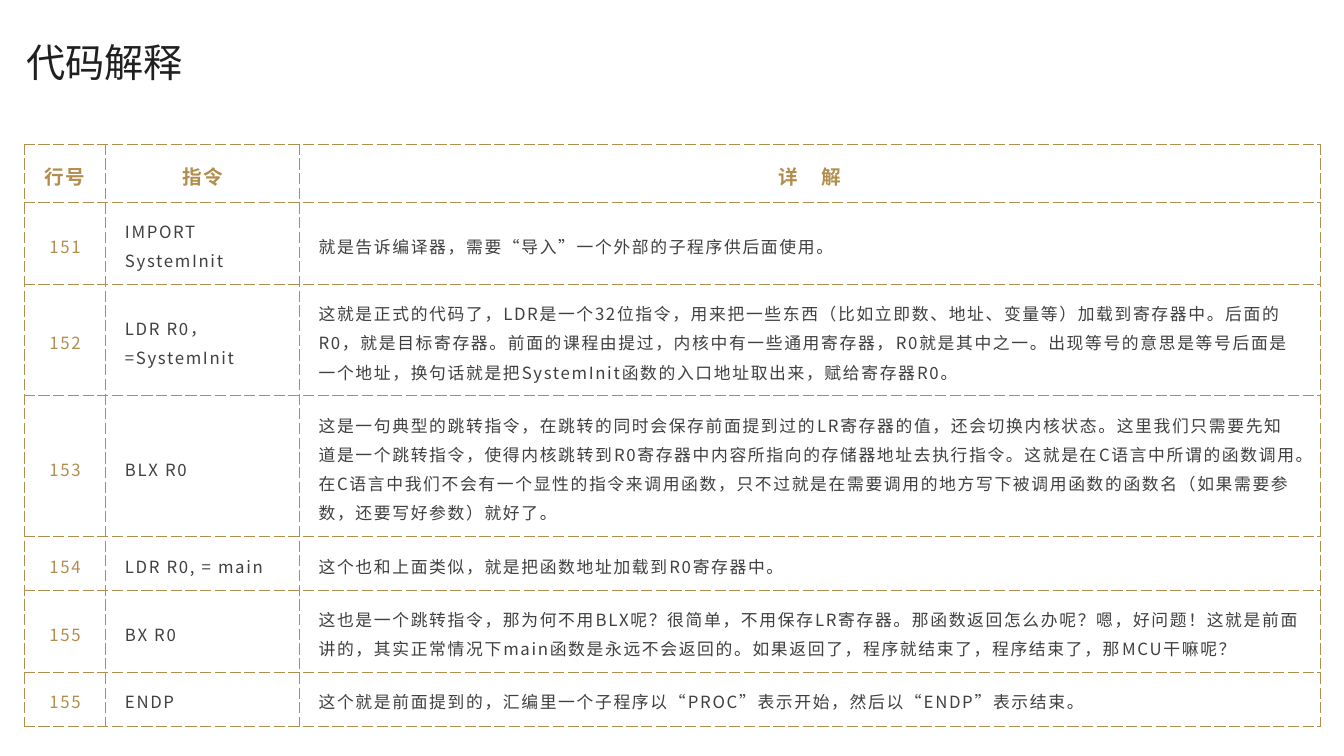
from dataclasses import dataclass

from lxml.etree import SubElement
from pptx import Presentation
from pptx.dml.color import RGBColor
from pptx.enum.text import MSO_ANCHOR, MSO_AUTO_SIZE, PP_ALIGN
from pptx.oxml.ns import qn
from pptx.slide import Slide
from pptx.table import _Cell
from pptx.text.text import _Paragraph
from pptx.util import Cm, Pt

FONT = "Noto Sans CJK SC"
GOLD = "B28E4E"
GREY = "404040"
BLACK = "202020"
WHITE = "FFFFFF"
COLUMN_WIDTHS = (2.06, 4.88, 25.73)


@dataclass(frozen=True)
class TextStyle:
    size: float
    color: str
    align: PP_ALIGN
    bold: bool = False
    tracking: float = 0
    line_spacing: float = 1.2


@dataclass(frozen=True)
class CodeRow:
    height: float
    line: str
    instruction: str
    explanation: str


TITLE = TextStyle(28, BLACK, PP_ALIGN.LEFT, line_spacing=0.9)
HEADING = TextStyle(14, GOLD, PP_ALIGN.CENTER, bold=True, tracking=1.2)
LINE_NUMBER = TextStyle(12, GOLD, PP_ALIGN.CENTER, tracking=1.2)
BODY = TextStyle(12, GREY, PP_ALIGN.LEFT, tracking=1.2)

HEADINGS = CodeRow(1.45, "行号", "指令", "详　解")
CODE_ROWS = (
    CodeRow(2.01, "151", "IMPORT SystemInit",
            "就是告诉编译器，需要“导入”一个外部的子程序供后面使用。"),
    CodeRow(2.67, "152", "LDR R0，=SystemInit",
            "这就是正式的代码了，LDR是一个32位指令，用来把一些东西（比如立即数、地址、变量等）"
            "加载到寄存器中。后面的R0，就是目标寄存器。前面的课程由提过，内核中有一些通用寄存器，"
            "R0就是其中之一。出现等号的意思是等号后面是一个地址，换句话就是把SystemInit函数的"
            "入口地址取出来，赋给寄存器R0。"),
    CodeRow(3.35, "153", "BLX R0",
            "这是一句典型的跳转指令，在跳转的同时会保存前面提到过的LR寄存器的值，还会切换内核状态。"
            "这里我们只需要先知道是一个跳转指令，使得内核跳转到R0寄存器中内容所指向的存储器地址去"
            "执行指令。这就是在C语言中所谓的函数调用。在C语言中我们不会有一个显性的指令来调用函数，"
            "只不过就是在需要调用的地方写下被调用函数的函数名（如果需要参数，还要写好参数）就好了。"),
    CodeRow(1.35, "154", "LDR R0, = main",
            "这个也和上面类似，就是把函数地址加载到R0寄存器中。"),
    CodeRow(2.01, "155", "BX R0",
            "这也是一个跳转指令，那为何不用BLX呢？很简单，不用保存LR寄存器。那函数返回怎么办呢？"
            "嗯，好问题！这就是前面讲的，其实正常情况下main函数是永远不会返回的。如果返回了，"
            "程序就结束了，程序结束了，那MCU干嘛呢？"),
    CodeRow(1.35, "155", "ENDP",
            "这个就是前面提到的，汇编里一个子程序以“PROC”表示开始，然后以“ENDP”表示结束。"),
)


def rgb(color: str) -> RGBColor:
    return RGBColor.from_string(color)


def style_paragraph(paragraph: _Paragraph, style: TextStyle) -> None:
    paragraph.alignment = style.align
    paragraph.line_spacing = style.line_spacing
    font = paragraph.font
    font.size = Pt(style.size)
    font.bold = style.bold
    font.color.rgb = rgb(style.color)
    font.name = FONT
    properties = paragraph._p.pPr.find(qn("a:defRPr"))
    properties.set("spc", str(round(style.tracking * 100)))
    SubElement(properties, qn("a:ea"), typeface=FONT)


def add_dashed_borders(cell: _Cell) -> None:
    properties = cell._tc.get_or_add_tcPr()
    for side in ("L", "R", "T", "B"):
        border = SubElement(properties, qn(f"a:ln{side}"), w=str(Pt(0.75)))
        fill = SubElement(border, qn("a:solidFill"))
        SubElement(fill, qn("a:srgbClr"), val=GOLD)
        SubElement(border, qn("a:prstDash"), val="sysDash")


def fill_cell(cell: _Cell, text: str, style: TextStyle) -> None:
    cell.text = text
    cell.vertical_anchor = MSO_ANCHOR.MIDDLE
    cell.margin_left = cell.margin_right = Cm(0.48)
    cell.margin_top = cell.margin_bottom = Cm(0.3)
    style_paragraph(cell.text_frame.paragraphs[0], style)
    add_dashed_borders(cell)
    cell.fill.solid()
    cell.fill.fore_color.rgb = rgb(WHITE)


def add_title(slide: Slide) -> None:
    title = slide.shapes.title
    title.left, title.top = Cm(0.41), Cm(0.69)
    title.width, title.height = Cm(16.54), Cm(1.91)
    frame = title.text_frame
    frame.text = "代码解释"
    frame.auto_size = MSO_AUTO_SIZE.NONE
    frame.vertical_anchor = MSO_ANCHOR.MIDDLE
    heading = frame.paragraphs[0]
    heading.space_before = Pt(10)
    style_paragraph(heading, TITLE)


def add_code_table(slide: Slide) -> None:
    rows = (HEADINGS, *CODE_ROWS)
    table = slide.shapes.add_table(
        len(rows), len(COLUMN_WIDTHS), Cm(0.61), Cm(3.63),
        Cm(sum(COLUMN_WIDTHS)), Cm(sum(row.height for row in rows)),
    ).table
    table.horz_banding = False
    for column, width in zip(table.columns, COLUMN_WIDTHS):
        column.width = Cm(width)
    for index, row in enumerate(rows):
        table.rows[index].height = Cm(row.height)
        styles = (HEADING,) * 3 if row is HEADINGS else (LINE_NUMBER, BODY, BODY)
        texts = (row.line, row.instruction, row.explanation)
        for cell, text, style in zip(table.rows[index].cells, texts, styles):
            fill_cell(cell, text, style)


def main() -> None:
    presentation = Presentation()
    presentation.slide_width = Cm(33.87)
    presentation.slide_height = Cm(19.05)
    slide = presentation.slides.add_slide(presentation.slide_layouts[5])
    slide.background.fill.solid()
    slide.background.fill.fore_color.rgb = rgb(WHITE)
    add_title(slide)
    add_code_table(slide)
    presentation.save("out.pptx")


if __name__ == "__main__":
    main()
